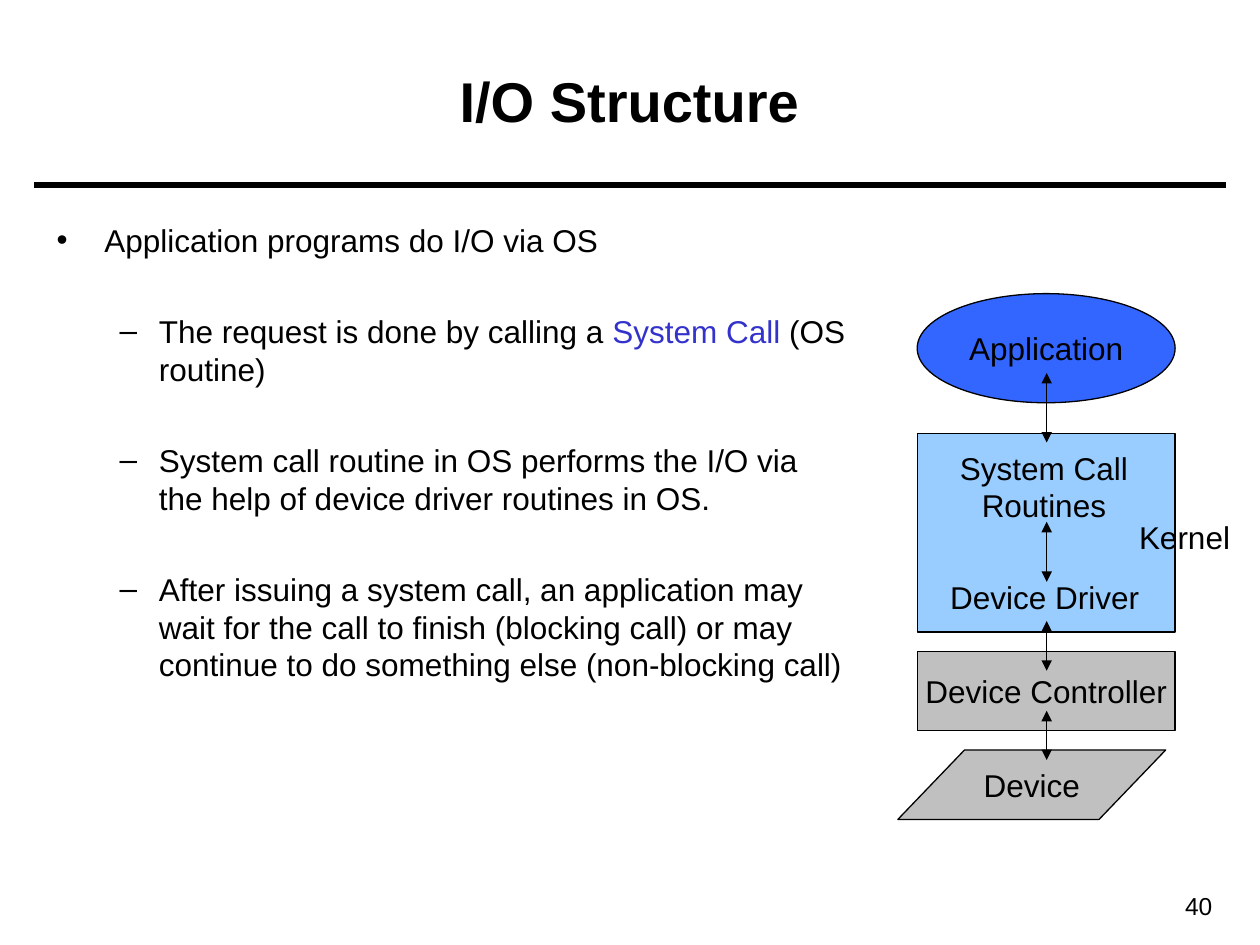
from dataclasses import dataclass

from lxml.etree import SubElement
from pptx import Presentation
from pptx.dml.color import RGBColor as RGB
from pptx.enum.shapes import MSO_CONNECTOR as LINK, MSO_SHAPE as SHAPE
from pptx.enum.text import MSO_ANCHOR as ANCHOR, MSO_AUTO_SIZE as FIT, PP_ALIGN as ALIGN
from pptx.oxml.ns import qn
from pptx.util import Cm, Pt


@dataclass(frozen=True)
class Theme:
    font: str = "Arial"
    title_size: int = 32
    text_size: int = 18
    number_size: int = 14
    ink: str = "000000"
    accent: str = "3333CC"
    app: str = "3366FF"
    kernel: str = "99CCFF"
    hardware: str = "C0C0C0"
    rule_width: float = 3
    outline_width: float = 0.75


THEME = Theme()

# Content: each point is (level, runs), each run is (text, colour)
TITLE = "I/O Structure"
PAGE_NUMBER = "40"
POINTS = [
    (0, [("Application programs do I/O via OS", THEME.ink)]),
    (1, [("The request is done by calling a ", THEME.ink),
         ("System Call", THEME.accent),
         (" (OS routine)", THEME.ink)]),
    (1, [("System call routine in OS performs the I/O via the help of "
          "device driver routines in OS.", THEME.ink)]),
    (1, [("After issuing a system call, an application may wait for the call "
          "to finish (blocking call) or may continue to do something else "
          "(non-blocking call)", THEME.ink)]),
]
BULLETS = [("•", 0.96, -0.96), ("–", 2.06, -0.79)]  # mark, margin, indent in cm
POINT_GAP = 30.5

# Layers of the I/O stack: preset, label, fill, (left, top, width, height) in cm
STACK_LEFT, STACK_WIDTH = 18.49, 5.2
LAYERS = [
    (SHAPE.RECTANGLE, "", THEME.kernel, (STACK_LEFT, 8.74, STACK_WIDTH, 4)),
    (SHAPE.RECTANGLE, "Device Controller", THEME.hardware,
     (STACK_LEFT, 13.13, STACK_WIDTH, 1.6)),
    (SHAPE.PARALLELOGRAM, "Device", THEME.hardware, (18.1, 15.12, 5.4, 1.4)),
    (SHAPE.OVAL, "Application", THEME.app, (STACK_LEFT, 5.92, STACK_WIDTH, 2.2)),
]
DEVICE_SLANT = 0.96
KERNEL_LABELS = [
    ("System Call\nRoutines", (19.1, 8.92, 3.89, 1.78)),
    ("Device Driver", (18.9, 11.53, 4.32, 1.02)),
    ("Kernel", (22.71, 10.31, 2.34, 1.02)),
]
LINK_X = STACK_LEFT + STACK_WIDTH / 2 + 0.01
LINKS = [(7.52, 8.92), (10.52, 11.73), (12.52, 13.52), (14.33, 15.32)]


def format_runs(paragraph, size, color=THEME.ink, bold=False):
    for run in paragraph.runs:
        run.font.name, run.font.size, run.font.bold = THEME.font, Pt(size), bold
        run.font.color.rgb = RGB.from_string(color)


def write(frame, text, size=THEME.text_size, align=ALIGN.CENTER, bold=False, wrap=False):
    frame.text = text
    frame.word_wrap = wrap
    for paragraph in frame.paragraphs:
        paragraph.alignment = align
        format_runs(paragraph, size, bold=bold)


def place(part, box):
    part.left, part.top, part.width, part.height = map(Cm, box)


def add_label(slide, text, box, **style):
    write(slide.shapes.add_textbox(*map(Cm, box)).text_frame, text, **style)


def add_line(slide, start, end, width, arrows=False):
    line = slide.shapes.add_connector(LINK.STRAIGHT, *map(Cm, start + end))
    line.line.color.rgb = RGB.from_string(THEME.ink)
    line.line.width = Pt(width)
    if arrows:
        for tag in ("a:headEnd", "a:tailEnd"):
            SubElement(line.line._get_or_add_ln(), qn(tag), type="triangle")
    SubElement(line._element.spPr, qn("a:effectLst"))


def add_bullet(paragraph, level):
    mark, margin, indent = BULLETS[level]
    properties = paragraph._p.get_or_add_pPr()
    properties.set("marL", str(Cm(margin)))
    properties.set("indent", str(Cm(indent)))
    bullet_color = SubElement(properties, qn("a:buClr"))
    SubElement(bullet_color, qn("a:srgbClr"), val=THEME.ink)
    SubElement(properties, qn("a:buChar"), char=mark)


def add_points(frame):
    frame.word_wrap, frame.auto_size = True, FIT.NONE
    for index, (level, runs) in enumerate(POINTS):
        paragraph = frame.add_paragraph() if index else frame.paragraphs[0]
        paragraph.level = level
        add_bullet(paragraph, level)
        paragraph.space_before = Pt(POINT_GAP if index else 0)
        for text, _ in runs:
            paragraph.add_run().text = text
        format_runs(paragraph, THEME.text_size)
        for run, (_, color) in zip(paragraph.runs, runs):
            run.font.color.rgb = RGB.from_string(color)


def add_layer(slide, preset, label, fill, box):
    layer = slide.shapes.add_shape(preset, *map(Cm, box))
    layer.shadow.inherit = False
    layer.fill.solid()
    layer.fill.fore_color.rgb = RGB.from_string(fill)
    layer.line.color.rgb = RGB.from_string(THEME.ink)
    layer.line.width = Pt(THEME.outline_width)
    if preset == SHAPE.PARALLELOGRAM:
        layer.adjustments[0] = DEVICE_SLANT
    if label:
        write(layer.text_frame, label)
        layer.text_frame.vertical_anchor = ANCHOR.MIDDLE


def main():
    deck = Presentation()
    deck.slide_width, deck.slide_height = Cm(25.4), Cm(19.05)
    slide = deck.slides.add_slide(deck.slide_layouts[1])

    # Heading, rule and page number
    title, body = slide.placeholders
    place(title, (0.89, 0.43, 23.6, 3.18))
    write(title.text_frame, TITLE, size=THEME.title_size, bold=True, wrap=True)
    title.text_frame.vertical_anchor = ANCHOR.MIDDLE
    add_line(slide, (0.69, 3.73), (24.71, 3.73), THEME.rule_width)
    add_label(slide, PAGE_NUMBER, (22.05, 17.83, 2.64, 0.86),
              size=THEME.number_size, align=ALIGN.RIGHT, wrap=True)

    # Bulleted explanation
    place(body, (0.89, 4.32, 16.41, 13))
    add_points(body.text_frame)

    # I/O stack diagram
    for layer in LAYERS:
        add_layer(slide, *layer)
    for text, box in KERNEL_LABELS:
        add_label(slide, text, box)
    for top, bottom in LINKS:
        add_line(slide, (LINK_X, top), (LINK_X, bottom), THEME.outline_width, arrows=True)

    deck.save("out.pptx")


if __name__ == "__main__":
    main()
